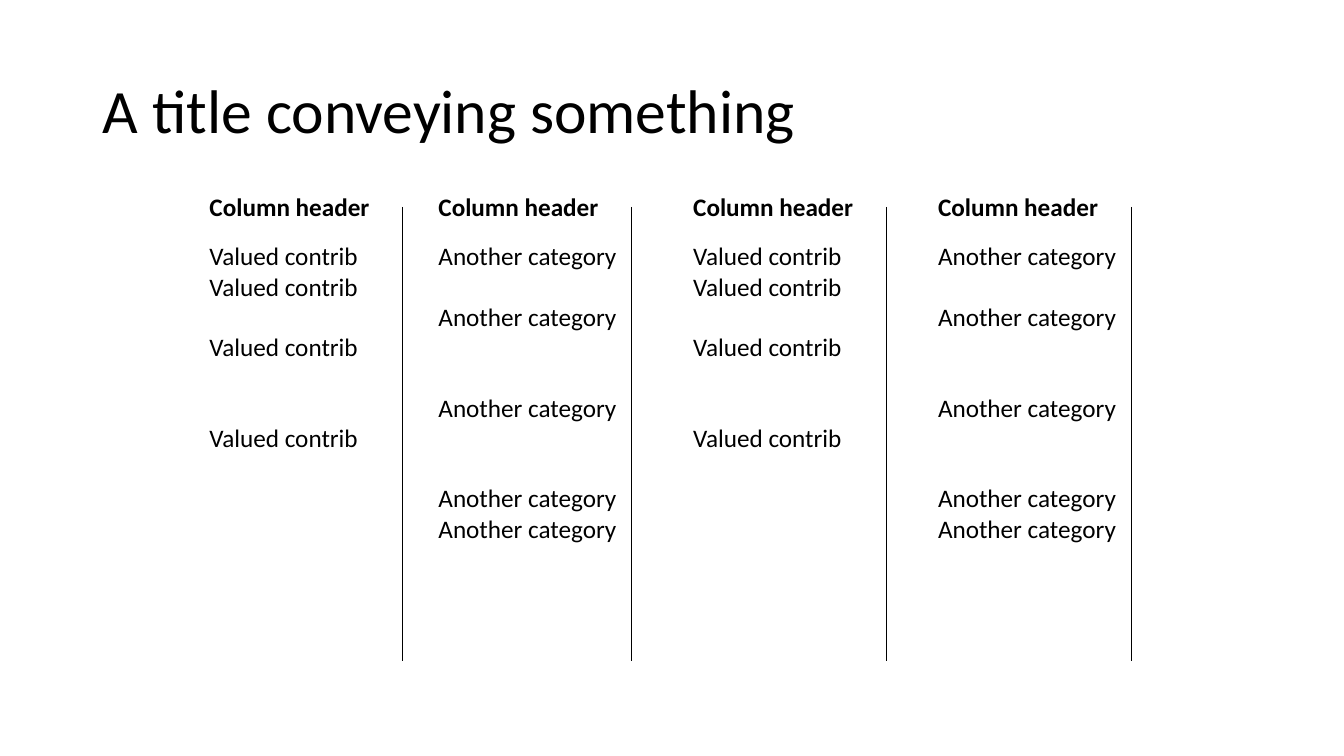
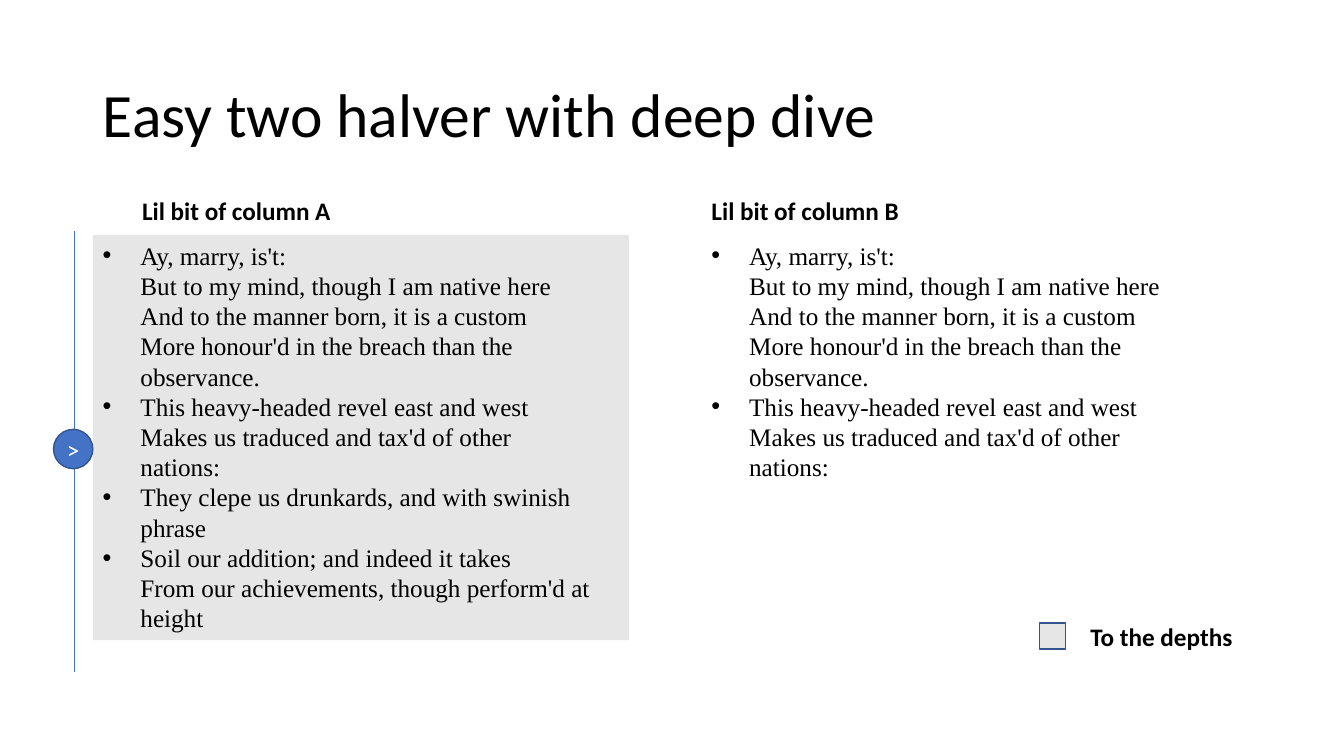
from dataclasses import dataclass
from lxml.etree import SubElement
from pptx import Presentation
from pptx.dml.color import RGBColor
from pptx.enum.shapes import MSO_CONNECTOR, MSO_SHAPE
from pptx.enum.text import MSO_ANCHOR, MSO_AUTO_SIZE, PP_ALIGN
from pptx.oxml.ns import qn
from pptx.util import Cm, Pt


@dataclass(frozen=True)
class Theme:
    ink: str = "000000"
    paper: str = "FFFFFF"
    accent: str = "4472C4"
    outline: str = "325491"
    panel: str = "E7E6E6"
    sans: str = "Calibri"
    serif: str = "Times New Roman"
    title: float = 44
    body: float = 18
    row: float = 21.6
    hairline: float = 0.5
    border: float = 1


def assign(obj, values):
    for name, value in values.items():
        setattr(obj, name, value)


def box(*lengths):
    return [Cm(length) for length in lengths]


class Deck:
    def __init__(self, theme):
        self.theme = theme
        self.prs = Presentation()
        assign(self.prs, {"slide_width": Cm(33.87), "slide_height": Cm(19.05)})

    def style(self, p, color=None, **values):
        font = {"name": self.theme.sans, "size": Pt(self.theme.body), **values}
        for r in p.runs:
            assign(r.font, font)
            r.font.color.rgb = RGBColor.from_string(color or self.theme.ink)

    def slide(self, title, top):
        self.current = self.prs.slides.add_slide(self.prs.slide_layouts[5])
        sp = self.current.shapes.title
        assign(sp, dict(zip(("left", "top", "width", "height"), box(2.34, top, 29.21, 3.68))))
        tf = sp.text_frame
        assign(tf, {"text": title, "vertical_anchor": MSO_ANCHOR.MIDDLE,
                    "auto_size": MSO_AUTO_SIZE.NONE})
        p = tf.paragraphs[0]
        assign(p, {"alignment": PP_ALIGN.LEFT, "line_spacing": 0.9})
        self.style(p, size=Pt(self.theme.title))

    def text(self, left, top, width, height, lines, gaps=None, bullets=False, **font):
        tf = self.current.shapes.add_textbox(*box(left, top, width, height)).text_frame
        assign(tf, {"word_wrap": True, "auto_size": MSO_AUTO_SIZE.SHAPE_TO_FIT_TEXT})
        for i, line in enumerate(lines):
            p = tf.paragraphs[0] if i == 0 else tf.add_paragraph()
            p.text = line
            if gaps:
                p.space_before = Pt(gaps[i] * self.theme.row)
            if bullets:
                self.bullet(p)
            self.style(p, **font)

    def bullet(self, p):
        pPr = p._p.get_or_add_pPr()
        indent = Cm(0.95)
        pPr.set("marL", str(indent))
        pPr.set("indent", str(-indent))
        SubElement(pPr, qn("a:buFont")).set("typeface", "Arial")
        SubElement(pPr, qn("a:buChar")).set("char", "•")

    def heading(self, left, top, width, label):
        self.text(left, top, width, 1.02, [label], bold=True)

    def rule(self, x, top, bottom, color):
        line = self.current.shapes.add_connector(MSO_CONNECTOR.STRAIGHT, *box(x, top, x, bottom))
        line.line.color.rgb = RGBColor.from_string(color)
        line.line.width = Pt(self.theme.hairline)
        SubElement(line._element.spPr, qn("a:effectLst"))

    def shape(self, kind, left, top, width, height, fill, outline=None, label=None):
        sp = self.current.shapes.add_shape(kind, *box(left, top, width, height))
        sp.shadow.inherit = False
        sp.fill.solid()
        sp.fill.fore_color.rgb = RGBColor.from_string(fill)
        if outline:
            sp.line.color.rgb = RGBColor.from_string(outline)
            sp.line.width = Pt(self.theme.border)
        else:
            sp.line.fill.background()
        if label:
            tf = sp.text_frame
            margins = ("margin_left", "margin_right", "margin_top", "margin_bottom")
            assign(tf, dict.fromkeys(margins, 0))
            assign(tf, {"text": label, "word_wrap": False, "vertical_anchor": MSO_ANCHOR.MIDDLE})
            p = tf.paragraphs[0]
            p.alignment = PP_ALIGN.CENTER
            self.style(p, color=self.theme.paper)


theme = Theme()
deck = Deck(theme)

deck.slide("A title conveying something", 1.02)
column_width = 5.11
contribs = ("Valued contrib", (0, 0, 1, 2), 6.4)
categories = ("Another category", (0, 1, 2, 2, 0), 9.5)
for left, (entry, gaps, height) in zip((5.03, 10.8, 17.22, 23.39), (contribs, categories) * 2):
    deck.heading(left, 4.7, column_width, "Column header")
    deck.rule(left + column_width, 5.21, 16.66, theme.ink)
    deck.text(left, 5.94, column_width, height, [entry] * len(gaps), gaps)

verses = [
    "Ay, marry, is't:\nBut to my mind, though I am native here\n"
    "And to the manner born, it is a custom\n"
    "More honour'd in the breach than the observance.",
    "This heavy-headed revel east and west\nMakes us traduced and tax'd of other nations:",
    "They clepe us drunkards, and with swinish phrase",
    "Soil our addition; and indeed it takes\nFrom our achievements, though perform'd at height",
]
deck.slide("Easy two halver with deep dive", 1.12)
deck.shape(MSO_SHAPE.RECTANGLE, 2.34, 5.92, 13.51, 10.21, theme.panel)
halves = (
    ("Lil bit of column A", 3.33, 2.34, verses, 11.02),
    ("Lil bit of column B", 17.68, 17.68, verses[:2], 7.95),
)
for label, label_left, left, lines, height in halves:
    deck.text(left, 5.92, 12.93, height, lines, bullets=True, name=theme.serif)
    deck.heading(label_left, 4.8, 7.16, label)
deck.shape(MSO_SHAPE.RECTANGLE, 26.19, 15.7, 0.66, 0.66, theme.panel, theme.outline)
deck.heading(27.23, 15.52, 4.32, "To the depths")
deck.rule(1.88, 5.82, 16.94, theme.accent)
deck.shape(MSO_SHAPE.OVAL, 1.35, 10.82, 0.99, 0.99, theme.accent, theme.outline, ">")

deck.prs.save("out.pptx")
